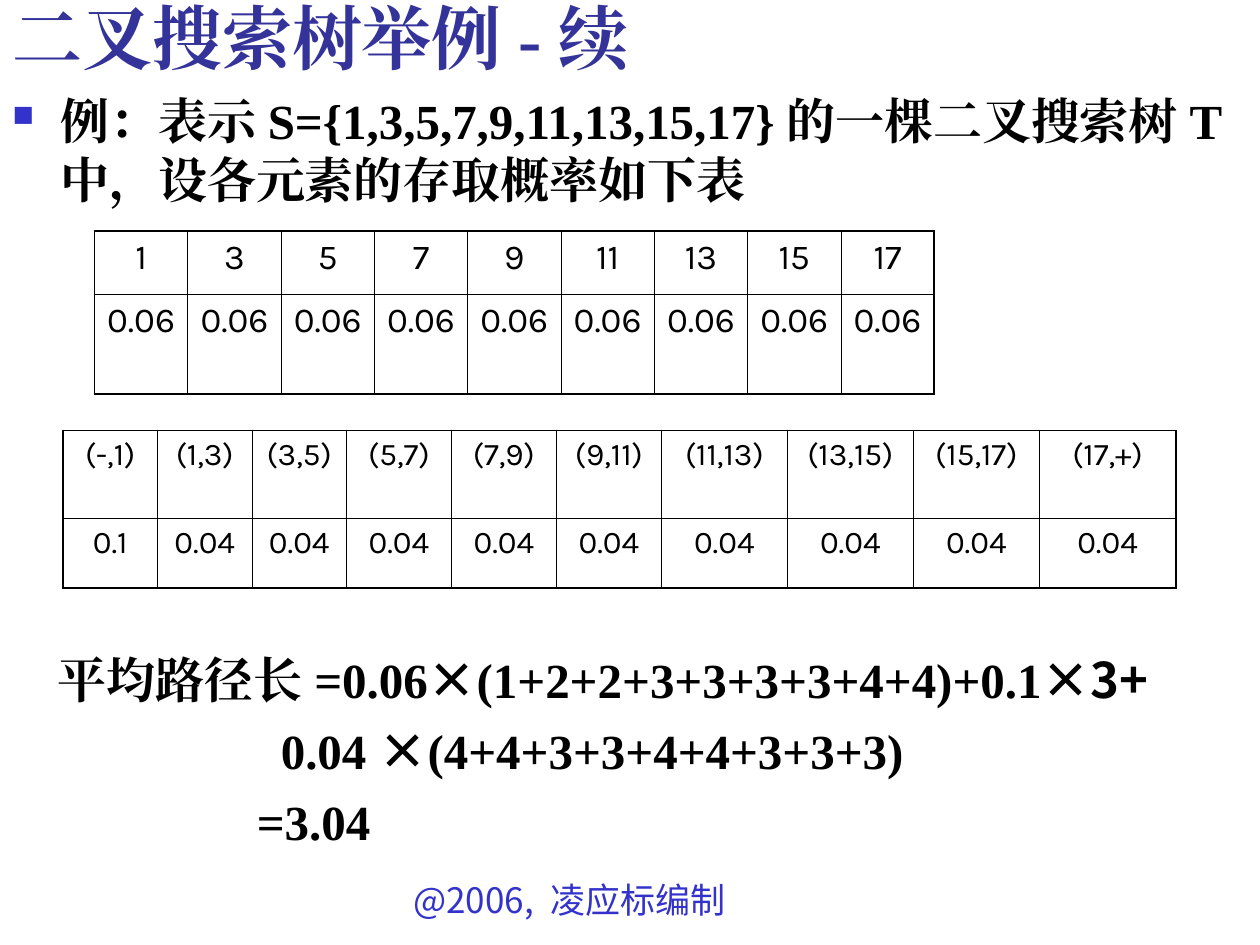
from pptx import Presentation
from pptx.dml.color import RGBColor
from pptx.enum.text import MSO_ANCHOR, PP_ALIGN
from pptx.oxml.ns import qn
from pptx.util import Pt
from lxml.etree import SubElement

SERIF = "Times New Roman"
SANS = "Noto Sans CJK SC"
TABLE_FONT = "Karla"
BLACK = "000000"
BLUE = "3333CC"
NAVY = "333399"
OUTER, INNER = 1.08, 0.45


def color(value):
    return RGBColor.from_string(value)


def add_run(paragraph, text, size, font, tint, bold=False):
    run = paragraph.add_run()
    run.text = text
    run.font.size = Pt(size)
    run.font.name = font
    run.font.bold = bold
    run.font.color.rgb = color(tint)
    SubElement(run.font._element, qn("a:ea"), typeface=font)


def add_frame(slide, box, anchor=MSO_ANCHOR.TOP):
    frame = slide.shapes.add_textbox(*map(Pt, box)).text_frame
    frame.word_wrap = True
    frame.vertical_anchor = anchor
    return frame


def add_line(slide, box, text, size, font, tint, bold=False, indent=0, anchor=MSO_ANCHOR.TOP):
    line = add_frame(slide, box, anchor).paragraphs[0]
    line.line_spacing = Pt(size * 1.2)
    line._p.get_or_add_pPr().set("marL", str(Pt(indent)))
    add_run(line, text, size, font, tint, bold)


def add_bullet(paragraph, hanging):
    properties = paragraph._p.get_or_add_pPr()
    properties.set("marL", str(Pt(hanging)))
    properties.set("indent", str(-Pt(hanging)))
    bullet_color = SubElement(properties, qn("a:buClr"))
    SubElement(bullet_color, qn("a:srgbClr"), val=BLUE)
    SubElement(properties, qn("a:buSzPct"), val="60000")
    SubElement(properties, qn("a:buChar"), char="■")


def add_body(slide, box):
    lines = [
        (0, 0, [("例：表示S={1,3,5,7,9,11,13,15,17}的一棵二叉搜索树T中，设各元素的存取概率如下表", SERIF)]),
        (26, 252, [("平均路径长=0.06", SERIF), ("×", SANS),
                   ("(1+2+2+3+3+3+3+4+4)+0.1", SERIF), ("×3+", SANS)]),
        (153.4, 7, [("0.04 ", SERIF), ("×", SANS), ("(4+4+3+3+4+4+3+3+3)", SERIF)]),
        (139.7, 7, [("=3.04", SERIF)]),
    ]
    frame = add_frame(slide, box)
    for number, (indent, before, pieces) in enumerate(lines):
        line = frame.add_paragraph() if number else frame.paragraphs[0]
        line.line_spacing = Pt(33.6)
        line.space_before = Pt(before)
        if number:
            line._p.get_or_add_pPr().set("marL", str(Pt(indent)))
        else:
            add_bullet(line, 27.4)
        for text, font in pieces:
            add_run(line, text, 28, font, BLACK, True)


def set_border(cell, side, width):
    border = SubElement(cell._tc.get_or_add_tcPr(), qn(f"a:ln{side}"), w=str(Pt(width)))
    fill = SubElement(border, qn("a:solidFill"))
    SubElement(fill, qn("a:srgbClr"), val=BLACK)


def add_probabilities(slide, box, widths, heights, rows, size):
    table = slide.shapes.add_table(len(rows), len(widths), *map(Pt, box)).table
    table.first_row = table.horz_banding = False
    for column, width in zip(table.columns, widths):
        column.width = Pt(width)
    for row, height in zip(table.rows, heights):
        row.height = Pt(height)
    last_row, last_column = len(rows) - 1, len(widths) - 1
    for r, values in enumerate(rows):
        for c, value in enumerate(values):
            cell = table.cell(r, c)
            edges = {"L": c == 0, "R": c == last_column, "T": r == 0, "B": r == last_row}
            for side, outside in edges.items():
                set_border(cell, side, OUTER if outside else INNER)
            cell.fill.background()
            entry = cell.text_frame.paragraphs[0]
            entry.alignment = PP_ALIGN.CENTER
            add_run(entry, value, size, TABLE_FONT, BLACK)


def build_slide(slide, width):
    add_line(slide, (180, 498.2, 402, 31.7), "@2006, 凌应标编制", 20, SANS, BLUE, indent=49)
    add_line(slide, (0, 0, width, 48.2), "二叉搜索树举例-续", 40, SERIF, NAVY, True,
             anchor=MSO_ANCHOR.BOTTOM)
    add_body(slide, (0, 48.2, width, 450))

    keys = [str(key) for key in range(1, 18, 2)]
    add_probabilities(slide, (54, 132, 480, 93), [480 / 9] * 9, [36, 57],
                      [keys, ["0.06"] * 9], 20)

    bounds = ["-", *keys, "+"]
    gaps = [f"({low},{high})" for low, high in zip(bounds, bounds[1:])]
    add_probabilities(slide, (36, 246, 636, 90), [54] * 3 + [60] * 3 + [72] * 3 + [78],
                      [50.4, 39.6], [gaps, ["0.1"] + ["0.04"] * 9], 18)


def main():
    deck = Presentation()
    deck.slide_width, deck.slide_height = Pt(720), Pt(540)
    build_slide(deck.slides.add_slide(deck.slide_layouts[6]), 720)
    deck.save("out.pptx")


if __name__ == "__main__":
    main()
